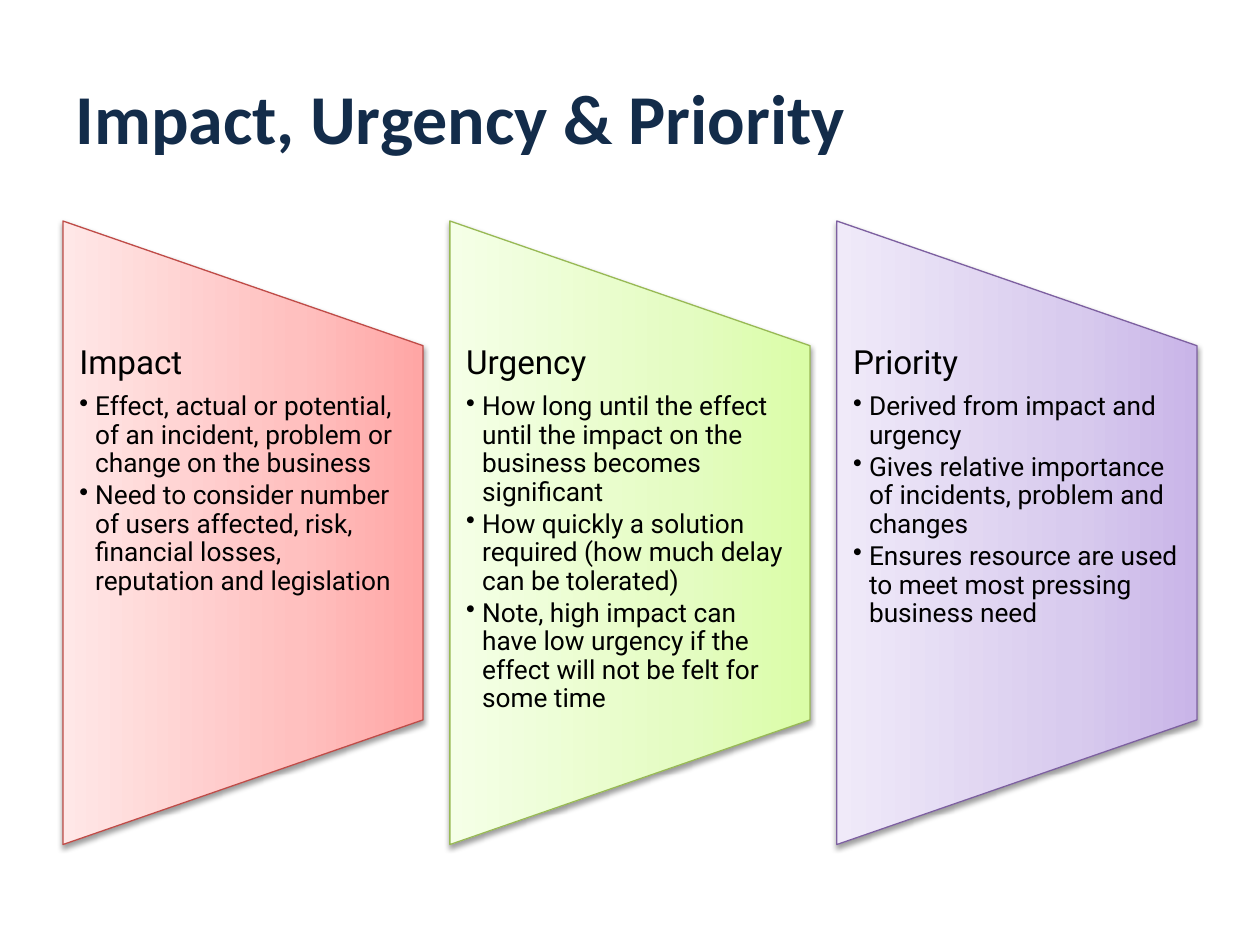
"""Build a slide with three tapered panels on impact, urgency and priority."""
from copy import deepcopy

from lxml import etree
from pptx import Presentation
from pptx.dml.color import RGBColor
from pptx.enum.shapes import MSO_SHAPE
from pptx.enum.text import MSO_ANCHOR, PP_ALIGN
from pptx.oxml.ns import qn
from pptx.util import Cm, Pt

TAPER = MSO_SHAPE.FLOWCHART_MANUAL_OPERATION
MIDDLE, TOP = MSO_ANCHOR.MIDDLE, MSO_ANCHOR.TOP
LEFT = PP_ALIGN.LEFT

TITLE = "Impact, Urgency & Priority"
PANELS = [
    ("Impact", "red", [
        "Effect, actual or potential, of an incident, problem or change on the business",
        "Need to consider number of users affected, risk, financial losses, "
        "reputation and legislation",
    ]),
    ("Urgency", "green", [
        "How long until the effect until the impact on the business becomes significant",
        "How quickly a solution required (how much delay can be tolerated)",
        "Note, high impact can have low urgency if the effect will not be felt for some time",
    ]),
    ("Priority", "purple", [
        "Derived from impact and urgency",
        "Gives relative importance of incidents, problem and changes",
        "Ensures resource are used to meet most pressing business need",
    ]),
]
COLORS = {"title": "132C4A", "text": "000000",
          "red": "BF4C48", "green": "98B955", "purple": "7D60A0"}
FADES = {"red": ["FFA6A5", "FFC0BF", "FFE7E7"],
         "green": ["DAFDA7", "E4FCC2", "F5FFE7"],
         "purple": ["C9B5E8", "D8CBEE", "F0EAF9"]}
STOPS = [0, 0.35, 1]

EDGE, PITCH, MID = 1.27, 7.8, 10.74
WIDE, TALL, BODY = 7.26, 12.57, 7.54


def paint(name):
    return RGBColor.from_string(COLORS[name])


def add_xml(parent, tag, **attrs):
    return etree.SubElement(parent, qn(tag), attrs)


def add_run(para, text, size, font, color, bold=False):
    run = para.add_run()
    run.text = text
    run.font.size, run.font.name, run.font.bold = Pt(size), font, bold
    run.font.color.rgb = paint(color)


def fade(shape, hues):
    shape.fill.gradient()
    shape.fill.gradient_angle = 90
    first = shape._element.spPr.find(".//" + qn("a:gs"))
    first.addnext(deepcopy(first))
    for stop, place, hue in zip(shape.fill.gradient_stops, STOPS, hues):
        stop.color.rgb = RGBColor.from_string(hue)
        stop.position = place


def shade(shape):
    shape.shadow.inherit = False
    effect = shape._element.spPr.find(qn("a:effectLst"))
    outer = add_xml(effect, "a:outerShdw", blurRad=str(Pt(3.1)), dist=str(Pt(1.6)),
                    dir="5400000", rotWithShape="0")
    black = add_xml(outer, "a:srgbClr", val="000000")
    add_xml(black, "a:alpha", val="38000")


def add_panel(slide, center, hue):
    shape = slide.shapes.add_shape(TAPER, Cm(center - TALL / 2), Cm(MID - WIDE / 2),
                                   Cm(TALL), Cm(WIDE))
    shape.rotation = 270
    fade(shape, FADES[hue])
    shape.line.color.rgb = paint(hue)
    shape.line.width = Pt(0.75)
    shade(shape)


def add_para(para, text, size, after, bullet=False):
    para.alignment = LEFT
    para.line_spacing = 0.9
    props = para._p.get_or_add_pPr()
    space = add_xml(props, "a:spcAft")
    add_xml(space, "a:spcPct", val=str(after * 1000))
    if bullet:
        para.level = 1
        props.set("marL", str(Cm(0.32)))
        props.set("indent", str(-Cm(0.32)))
        add_xml(props, "a:buChar", char="•")
    add_run(para, text, size, "Roboto", "text")


def add_body(slide, center, head, points):
    box = slide.shapes.add_textbox(Cm(center - WIDE / 2), Cm(MID - BODY / 2),
                                   Cm(WIDE), Cm(BODY))
    frame = box.text_frame
    frame.word_wrap = True
    frame.vertical_anchor = TOP
    frame.margin_left = frame.margin_right = Cm(0.33)
    frame.margin_top = frame.margin_bottom = 0
    add_para(frame.paragraphs[0], head, 19, 35)
    for point in points:
        add_para(frame.add_paragraph(), point, 15, 15, True)


def main():
    deck = Presentation()
    deck.slide_width, deck.slide_height = Cm(25.4), Cm(19.05)
    slide = deck.slides.add_slide(deck.slide_layouts[5])
    title = slide.shapes.title
    title.left, title.top = Cm(EDGE), Cm(0.76)
    title.width, title.height = Cm(22.86), Cm(3.18)
    title.text_frame.vertical_anchor = MIDDLE
    para = title.text_frame.paragraphs[0]
    para.alignment = LEFT
    add_run(para, TITLE, 40, "Calibri", "title", True)
    for col, (head, hue, points) in enumerate(PANELS):
        center = EDGE + WIDE / 2 + col * PITCH
        add_panel(slide, center, hue)
        add_body(slide, center, head, points)
    deck.save("out.pptx")


if __name__ == "__main__":
    main()
